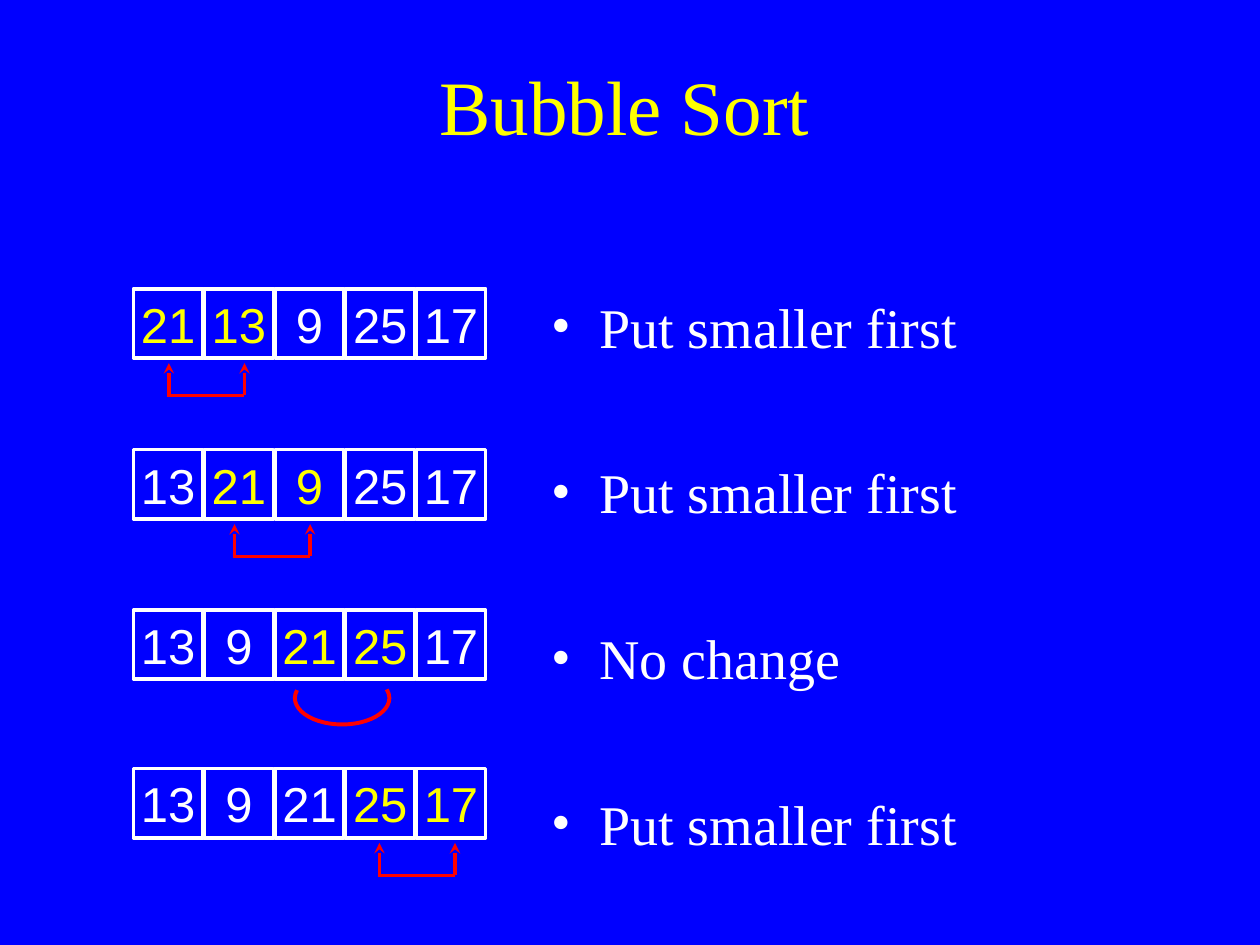
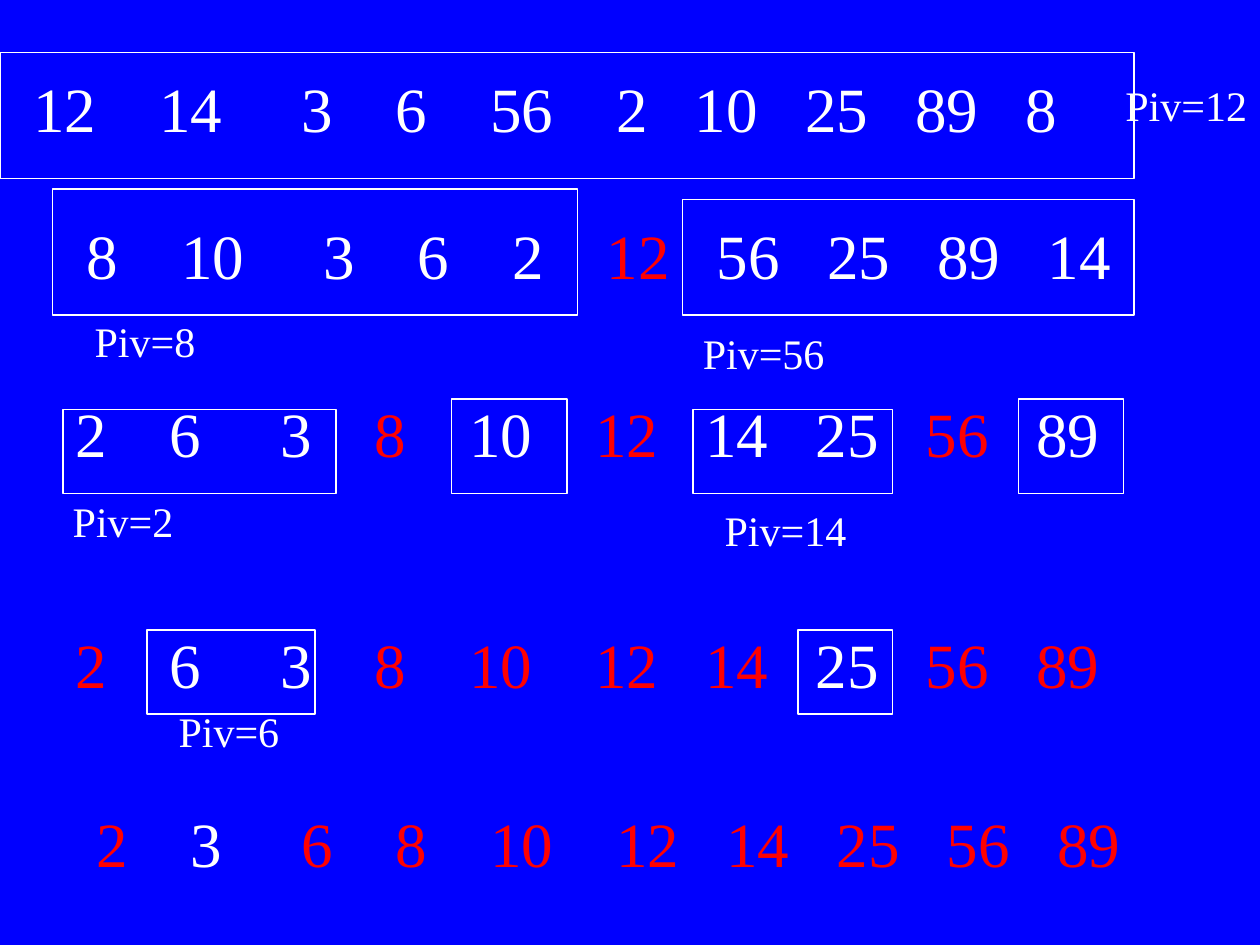
from itertools import accumulate

from lxml.etree import SubElement
from pptx import Presentation
from pptx.dml.color import RGBColor
from pptx.enum.shapes import MSO_CONNECTOR as Connector, MSO_SHAPE as Shape
from pptx.enum.text import MSO_ANCHOR as Anchor, PP_ALIGN as Align
from pptx.oxml.ns import qn
from pptx.util import Pt

COLORS = {"background": "0000FF", "text": "FFFFFF", "accent": "FFFF00", "mark": "FF0000"}
SERIF, SANS = "Times New Roman", "Arial"
INSETS = {"margin_left": Pt(7.2), "margin_right": Pt(7.2),
          "margin_top": Pt(3.6), "margin_bottom": Pt(3.6)}

# Bubble sort: cell size, spacing and steps
CELL, CELL_PITCH = 39.6, 40.4
STEP_LEFT = 76.3
# top, numbers, compared columns, bracket offset (None: pair stays in order)
SORT_STEPS = [
    (165, [21, 13, 9, 25, 17], (0, 1), 20.2),
    (257, [13, 21, 9, 25, 17], (1, 2), 57.7),
    (348.5, [13, 9, 21, 25, 17], (2, 3), None),
    (439.2, [13, 9, 21, 25, 17], (3, 4), 140.5),
]
REMARKS = ["Put smaller first", "Put smaller first", "No change", "Put smaller first"]

# Quicksort: number positions follow digit widths and gaps counted in spaces
DIGIT, SPACE = 18, 9
GAPS = [4, 5, 4, 4, 4, 3, 3, 3, 3]
# left, top, numbers (* marks a settled one), frames and pivot labels from the row corner
PARTITIONS = [
    (12, 36, "12 14 3 6 56 2 10 25 89 8",
     [(-12, -6, 648, 72)], [(624, 6, 12)]),
    (42.5, 120, "8 10 3 6 2 *12 56 25 89 14",
     [(347.5, -6, 258, 66), (-12.5, -12, 300, 72)], [(4.5, 57, 8), (352, 63.5, 56)]),
    (36, 222, "2 6 3 *8 10 *12 14 25 *56 89",
     [(0, 12, 156, 48), (222, 6, 66, 54), (360, 12, 114, 48), (546, 6, 60, 54)],
     [(-1.5, 57.5, 2), (371, 63, 14)]),
    (36, 354, "*2 6 3 *8 *10 *12 *14 25 *56 *89",
     [(48, 6, 96, 48), (420, 6, 54, 48)], [(59, 45.5, 6)]),
    (48, 456, "*2 3 *6 *8 *10 *12 *14 *25 *56 *89", [], []),
]


def rgb(name):
    return RGBColor.from_string(COLORS[name])


def apply(target, values):
    for name, value in values.items():
        setattr(target, name, value)


def add_run(paragraph, text, size, color="text", font=SERIF):
    run = paragraph.add_run()
    run.text = text
    apply(run.font, {"size": Pt(size), "name": font})
    run.font.color.rgb = rgb(color)


def add_text_frame(slide, left, top, width, height, **values):
    frame = slide.shapes.add_textbox(Pt(left), Pt(top), Pt(width), Pt(height)).text_frame
    apply(frame, {"word_wrap": True, **INSETS, **values})
    return frame


def add_outline(slide, kind, left, top, width, height, color, weight):
    outline = slide.shapes.add_shape(kind, Pt(left), Pt(top), Pt(width), Pt(height))
    outline.shadow.inherit = False
    outline.fill.background()
    outline.line.color.rgb = rgb(color)
    outline.line.width = Pt(weight)
    return outline


def add_mark_line(slide, x1, y1, x2, y2, arrow=False):
    mark = slide.shapes.add_connector(Connector.STRAIGHT, Pt(x1), Pt(y1), Pt(x2), Pt(y2))
    mark.line.color.rgb = rgb("mark")
    mark.line.width = Pt(2)
    if arrow:
        SubElement(mark.line._get_or_add_ln(), qn("a:headEnd"), type="stealth")
    SubElement(mark._element.spPr, qn("a:effectLst"))


def add_blue_slide(deck):
    slide = deck.slides.add_slide(deck.slide_layouts[6])
    slide.background.fill.solid()
    slide.background.fill.fore_color.rgb = rgb("background")
    return slide


def add_title(slide, text, left, top, width, height):
    frame = add_text_frame(slide, left, top, width, height, vertical_anchor=Anchor.BOTTOM)
    heading = frame.paragraphs[0]
    heading.alignment = Align.CENTER
    add_run(heading, text, 44, "accent")


def add_remarks(slide, remarks, left, top, width, height):
    frame = add_text_frame(slide, left, top, width, height)
    for i, remark in enumerate(remarks):
        line = frame.add_paragraph() if i else frame.paragraphs[0]
        line.space_after = Pt(56.2)
        properties = line._p.get_or_add_pPr()
        properties.set("marL", str(Pt(27)))
        properties.set("indent", str(Pt(-27)))
        SubElement(properties, qn("a:buFont"), typeface=SERIF)
        SubElement(properties, qn("a:buChar"), char="•")
        add_run(line, remark, 32)


def add_sort_step(slide, left, top, numbers, compared, bracket):
    # Array cells
    for column, number in enumerate(numbers):
        cell = add_outline(slide, Shape.RECTANGLE, left + column * CELL_PITCH, top,
                           CELL, CELL, "text", 2)
        apply(cell.text_frame, {"word_wrap": False, "vertical_anchor": Anchor.MIDDLE, **INSETS})
        paragraph = cell.text_frame.paragraphs[0]
        paragraph.alignment = Align.CENTER
        add_run(paragraph, str(number), 28, "accent" if column in compared else "text", SANS)
    # Arc under a pair in order, arrowed bracket under a swapped pair
    if bracket is None:
        arc = add_outline(slide, Shape.ARC, left + 92.2, top + 35.3, 54, 30.2, "mark", 2.25)
        for i, degrees in enumerate((349, 190)):
            arc.adjustments[i] = degrees * 0.6
    else:
        start, end = left + bracket, left + bracket + 43.2
        tip, base = top + 42.5, top + 61
        for x in (start, end):
            add_mark_line(slide, x, tip, x, base, arrow=True)
        add_mark_line(slide, start - 1, base, end, base)


def add_partition(slide, left, top, numbers, frames, pivots):
    # Numbers on tab stops
    numbers = numbers.split()
    steps = [len(number.strip("*")) * DIGIT + gap * SPACE for number, gap in zip(numbers, GAPS)]
    row = add_text_frame(slide, left, top, 602, 50.4).paragraphs[0]
    tab_list = SubElement(row._p.get_or_add_pPr(), qn("a:tabLst"))
    for stop in accumulate(steps):
        SubElement(tab_list, qn("a:tab"), pos=str(Pt(stop)), algn="l")
    for i, number in enumerate(numbers):
        color = "mark" if number.startswith("*") else "text"
        add_run(row, ("\t" if i else "") + number.strip("*"), 36, color)
    # Frames around the parts still to sort
    for x, y, width, height in frames:
        add_outline(slide, Shape.RECTANGLE, left + x, top + y, width, height, "text", 0.75)
    # Pivot labels, with the right inset left free for the text
    for x, y, pivot in pivots:
        width = 84 if pivot > 9 else 72
        label = add_text_frame(slide, left + x, top + y, width, 36, margin_right=0)
        add_run(label.paragraphs[0], f"Piv={pivot}", 24)


def build_bubble_sort(deck):
    slide = add_blue_slide(deck)
    add_title(slide, "Bubble Sort", 48, 0, 618, 90)
    add_remarks(slide, REMARKS, 308.3, 163.5, 295, 336)
    for top, numbers, compared, bracket in SORT_STEPS:
        add_sort_step(slide, STEP_LEFT, top, numbers, compared, bracket)


def build_quicksort(deck):
    slide = add_blue_slide(deck)
    for partition in PARTITIONS:
        add_partition(slide, *partition)


def main():
    deck = Presentation()
    apply(deck, {"slide_width": Pt(720), "slide_height": Pt(540)})
    build_bubble_sort(deck)
    build_quicksort(deck)
    deck.save("out.pptx")


if __name__ == "__main__":
    main()
